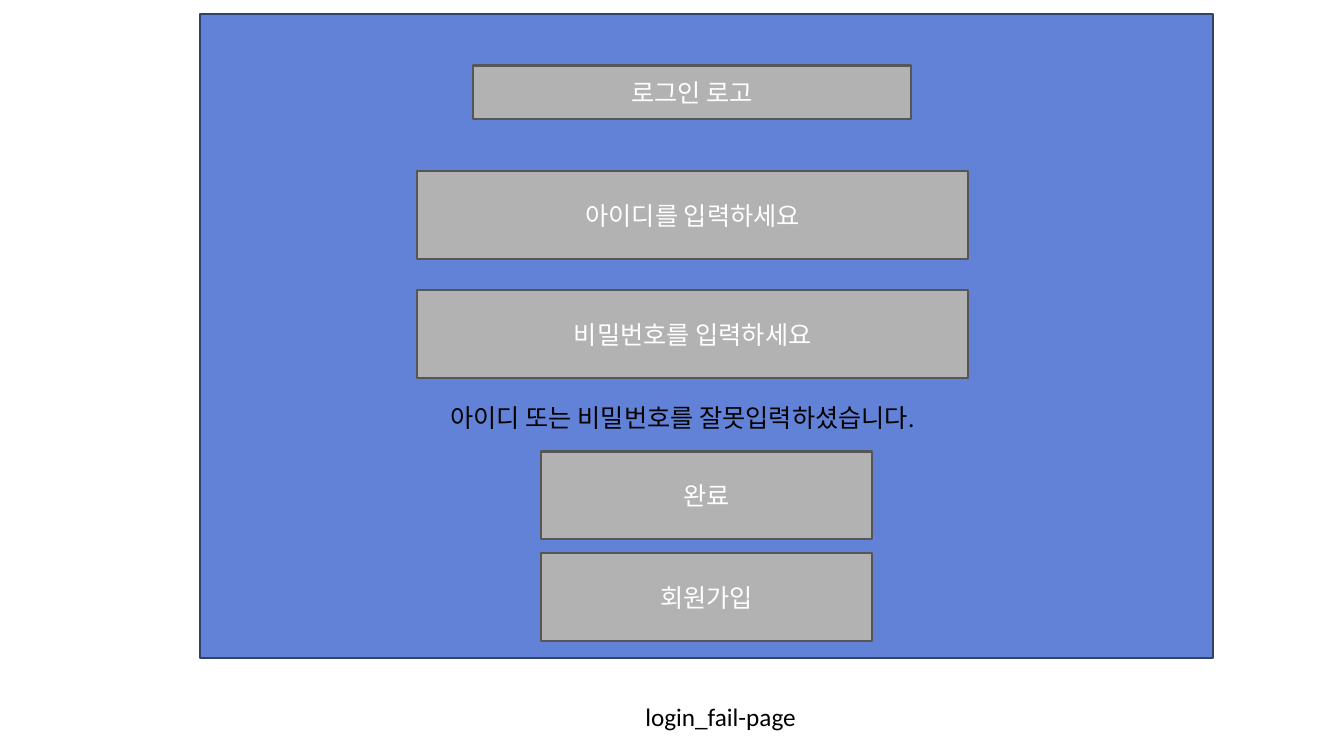
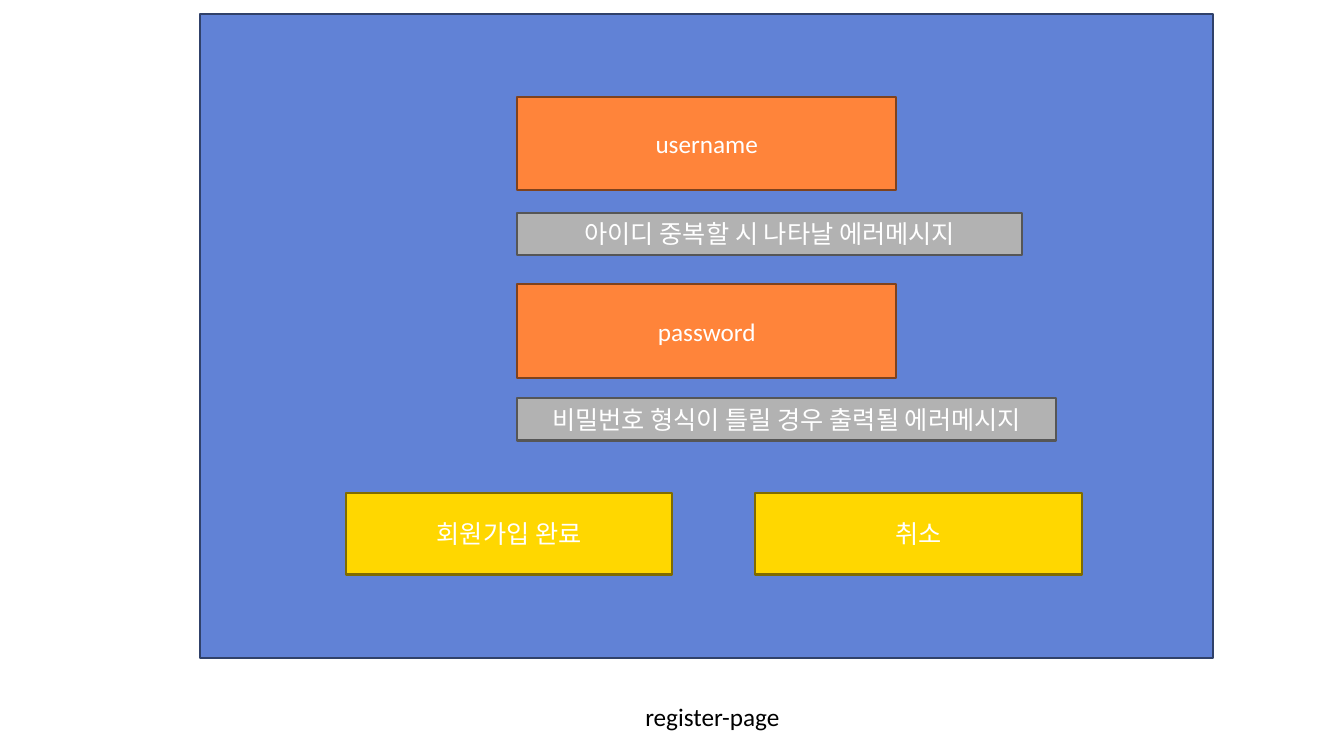
from pptx import Presentation
from pptx.dml.color import RGBColor
from pptx.enum.shapes import MSO_SHAPE
from pptx.enum.text import MSO_ANCHOR, MSO_AUTO_SIZE, PP_ALIGN
from pptx.util import Emu, Pt

RECTANGLE = MSO_SHAPE.RECTANGLE
TOP, MIDDLE = MSO_ANCHOR.TOP, MSO_ANCHOR.MIDDLE
LEFT, CENTER = PP_ALIGN.LEFT, PP_ALIGN.CENTER
GROW = MSO_AUTO_SIZE.SHAPE_TO_FIT_TEXT

EMU_PER_PX = 9144  # 100 px to the inch
TITLE_ONLY = 5
COLORS = {
    "panel": "6182D6", "panel_line": "30416A",
    "gray": "B2B2B2", "gray_line": "565656",
    "orange": "FF843A", "orange_line": "7F421D",
    "yellow": "FFD700", "yellow_line": "7F6B00",
    "white": "FFFFFF", "black": "000000",
}


def px(length):
    return Emu(length * EMU_PER_PX)


def color(name):
    return RGBColor.from_string(COLORS[name])


class Wireframe:
    """Holds the style and the slide being drawn."""

    font = "Calibri"
    text_size = Pt(18)
    line_width = Pt(1.5)

    def __init__(self):
        self.presentation = Presentation()
        self.presentation.slide_width = px(1333)
        self.presentation.slide_height = px(750)
        self.slide = None

    def page(self, name, name_width):
        """Start a slide with the blue panel and the page name below it."""
        layout = self.presentation.slide_layouts[TITLE_ONLY]
        self.slide = self.presentation.slides.add_slide(layout)
        title = self.slide.shapes.title
        title.left, title.top = px(630), px(691)
        title.width, title.height = px(name_width), px(39)
        self.add_text(title, name, "black", LEFT, TOP)
        title.text_frame.auto_size = GROW
        self.box("panel", 198, 14, 1005, 639)

    def box(self, style, left, top, width, height, text=None):
        shape = self.slide.shapes.add_shape(
            RECTANGLE, px(left), px(top), px(width), px(height))
        shape.shadow.inherit = False
        shape.fill.solid()
        shape.fill.fore_color.rgb = color(style)
        shape.line.color.rgb = color(style + "_line")
        shape.line.width = self.line_width
        if text:
            self.add_text(shape, text, "white", CENTER, MIDDLE)

    def message(self, left, top, width, height, text):
        shape = self.slide.shapes.add_textbox(
            px(left), px(top), px(width), px(height))
        self.add_text(shape, text, "black", LEFT, TOP)
        shape.text_frame.auto_size = GROW

    def add_text(self, shape, text, text_color, alignment, anchor):
        frame = shape.text_frame
        frame.word_wrap = True
        frame.vertical_anchor = anchor
        paragraph = frame.paragraphs[0]
        paragraph.alignment = alignment
        run = paragraph.add_run()
        run.text = text
        run.font.name = self.font
        run.font.size = self.text_size
        run.font.color.rgb = color(text_color)


def build_login_fail(wireframe):
    wireframe.page("login_fail-page", 240)
    wireframe.box("gray", 469, 65, 435, 53, "로그인 로고")

    # Input fields
    for top, text in ((170, "아이디를 입력하세요"), (288, "비밀번호를 입력하세요")):
        wireframe.box("gray", 414, top, 546, 87, text)
    wireframe.message(437, 394, 527, 39, "아이디 또는 비밀번호를 잘못입력하셨습니다.")

    # Buttons
    for top, text in ((448, "완료"), (549, "회원가입")):
        wireframe.box("gray", 537, top, 328, 87, text)


def build_register(wireframe):
    wireframe.page("register-page", 281)

    # Input fields, each with its error message below
    fields = (
        (96, "username", 211, 501, "아이디 중복할 시 나타날 에러메시지"),
        (282, "password", 395, 534, "비밀번호 형식이 틀릴 경우 출력될 에러메시지"),
    )
    for top, label, error_top, error_width, error in fields:
        wireframe.box("orange", 513, top, 376, 93, label)
        wireframe.box("gray", 513, error_top, error_width, 42, error)

    # Buttons
    for left, text in ((343, "회원가입 완료"), (749, "취소")):
        wireframe.box("yellow", left, 489, 324, 81, text)


def main():
    wireframe = Wireframe()
    build_login_fail(wireframe)
    build_register(wireframe)
    wireframe.presentation.save("out.pptx")


if __name__ == "__main__":
    main()
